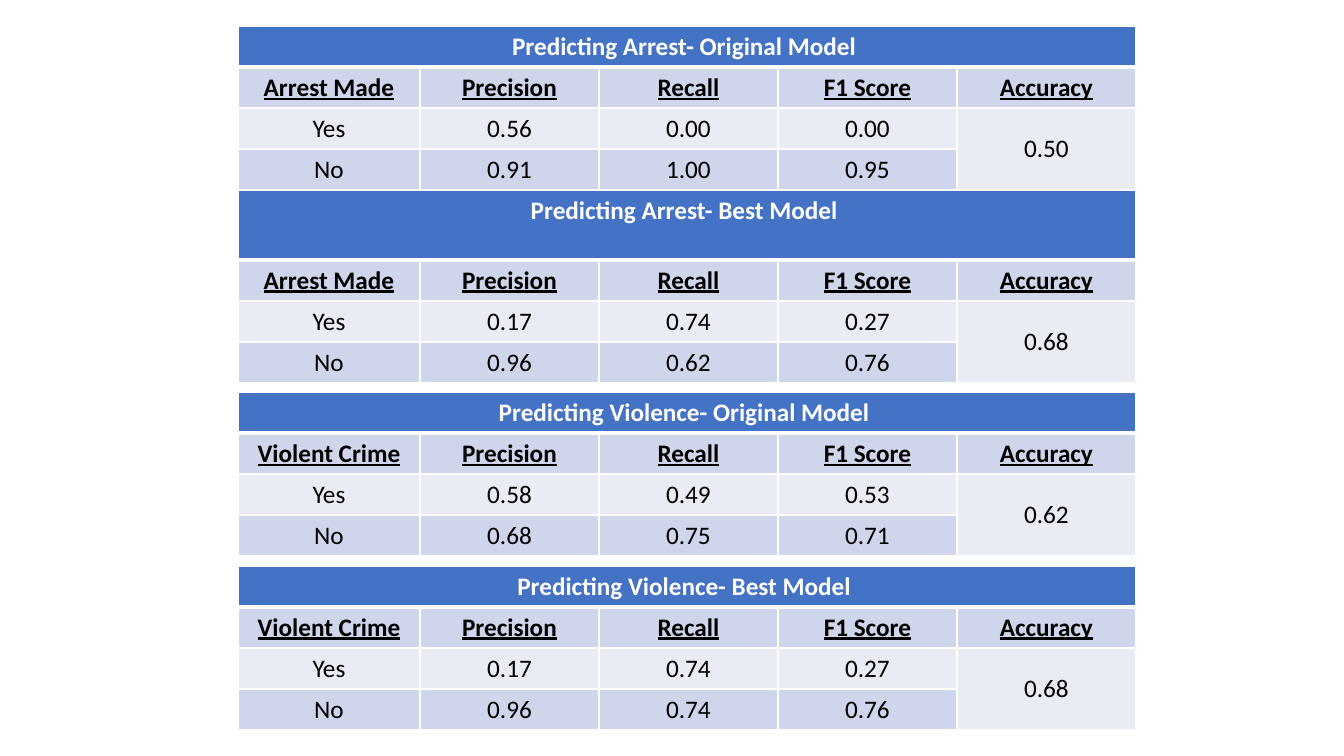
import pptx
import pptx.dml.color
import pptx.enum.text
import pptx.oxml.ns
import pptx.util
from lxml import etree

EMU_PER_PX = 914400 / 100.8
COLORS = {
    "white": "FFFFFF",
    "black": "000000",
    "title": "4472C4",
    "dark_band": "CFD5EA",
    "light_band": "E9EBF5",
}
ANCHOR = pptx.enum.text.MSO_ANCHOR
CENTER = pptx.enum.text.PP_ALIGN.CENTER

COLUMN_WIDTHS = [182, 179, 179, 179, 179]
ROW_HEIGHT = 41
TABLE_LEFT = 238
METRICS = ["Precision", "Recall", "F1 Score", "Accuracy"]

ROW_FORMATS = [
    {"fill": "title", "color": "white", "bold": True, "underline": False},
    {"fill": "dark_band", "color": "black", "bold": True, "underline": True},
    {"fill": "light_band", "color": "black", "bold": False, "underline": False},
    {"fill": "dark_band", "color": "black", "bold": False, "underline": False},
]

MODELS = [
    {"top": 26, "title": "Predicting Arrest- Original Model ", "outcome": "Arrest Made",
     "yes": ["0.56", "0.00", "0.00"], "no": ["0.91", "1.00", "0.95"], "accuracy": "0.50"},
    {"top": 190, "title": "Predicting Arrest- Best Model ", "outcome": "Arrest Made",
     "yes": ["0.17", "0.74", "0.27"], "no": ["0.96", "0.62", "0.76"], "accuracy": "0.68",
     "title_height": 70, "title_anchor": ANCHOR.TOP},
    {"top": 392, "title": "Predicting Violence- Original Model ", "outcome": "Violent Crime",
     "yes": ["0.58", "0.49", "0.53"], "no": ["0.68", "0.75", "0.71"], "accuracy": "0.62"},
    {"top": 566, "title": "Predicting Violence- Best Model ", "outcome": "Violent Crime",
     "yes": ["0.17", "0.74", "0.27"], "no": ["0.96", "0.74", "0.76"], "accuracy": "0.68"},
]


def px(length):
    return pptx.util.Emu(round(length * EMU_PER_PX))


def rgb(name):
    return pptx.dml.color.RGBColor.from_string(COLORS[name])


class SlideBuilder:
    font_name = "Calibri"
    font_size = pptx.util.Pt(18)

    def __init__(self, slide):
        self.slide = slide

    def add_borders(self, cell, row_index):
        """Draw white cell edges, with a thick rule below the title row."""
        properties = cell._tc.get_or_add_tcPr()
        widths = {"L": 1, "R": 1, "T": 3 if row_index == 1 else 1, "B": 3 if row_index == 0 else 1}
        for side, width in widths.items():
            line = etree.SubElement(properties, pptx.oxml.ns.qn(f"a:ln{side}"),
                                    w=str(pptx.util.Pt(width)))
            fill = etree.SubElement(line, pptx.oxml.ns.qn("a:solidFill"))
            etree.SubElement(fill, pptx.oxml.ns.qn("a:srgbClr"), val=COLORS["white"])

    def format_cell(self, cell, row_index, text, anchor):
        style = ROW_FORMATS[row_index]
        self.add_borders(cell, row_index)
        cell.fill.solid()
        cell.fill.fore_color.rgb = rgb(style["fill"])
        cell.vertical_anchor = anchor
        paragraph = cell.text_frame.paragraphs[0]
        paragraph.alignment = CENTER
        if not text:
            return
        run = paragraph.add_run()
        run.text = text
        run.font.color.rgb = rgb(style["color"])
        formats = {"name": self.font_name, "size": self.font_size,
                   "bold": style["bold"], "underline": style["underline"]}
        for name, value in formats.items():
            setattr(run.font, name, value)

    def add_model_table(self, model):
        rows = [
            [model["title"], "", "", "", ""],
            [model["outcome"], *METRICS],
            ["Yes", *model["yes"], model["accuracy"]],
            ["No", *model["no"], ""],
        ]
        heights = [model.get("title_height", ROW_HEIGHT)] + [ROW_HEIGHT] * 3
        table = self.slide.shapes.add_table(
            len(rows), len(COLUMN_WIDTHS), px(TABLE_LEFT), px(model["top"]),
            px(sum(COLUMN_WIDTHS)), px(sum(heights))).table
        for column, width in zip(table.columns, COLUMN_WIDTHS):
            column.width = px(width)
        for row_index, (texts, height) in enumerate(zip(rows, heights)):
            table.rows[row_index].height = px(height)
            anchor = ANCHOR.MIDDLE
            if row_index == 0:
                anchor = model.get("title_anchor", anchor)
            for column_index, text in enumerate(texts):
                self.format_cell(table.cell(row_index, column_index), row_index, text, anchor)
        table.cell(0, 0).merge(table.cell(0, 4))
        table.cell(2, 4).merge(table.cell(3, 4))


def main():
    presentation = pptx.Presentation()
    presentation.slide_width = px(1344)
    presentation.slide_height = px(756)
    builder = SlideBuilder(presentation.slides.add_slide(presentation.slide_layouts[6]))
    for model in MODELS:
        builder.add_model_table(model)
    presentation.save("out.pptx")


if __name__ == "__main__":
    main()
